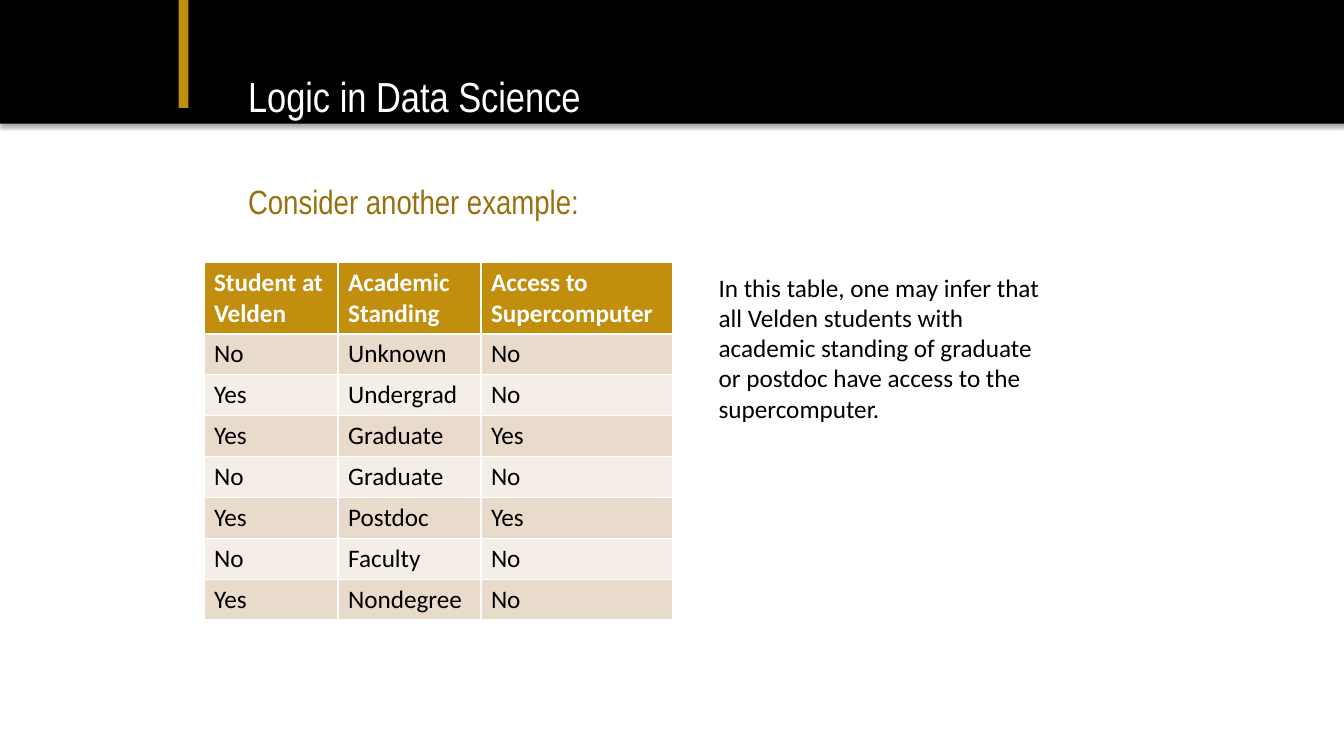
from lxml import etree
from pptx import Presentation
from pptx import util as u
from pptx.dml.color import RGBColor
from pptx.enum import shapes, text
from pptx.oxml.ns import qn

# Content
TITLE = "Logic in Data Science"
LEAD = "Consider another example:"
INFERENCE = ("In this table, one may infer that all Velden students with academic "
             "standing of graduate or postdoc have access to the supercomputer.")
ROWS = [
    ("Student at Velden", "Academic Standing", "Access to Supercomputer"),
    ("No", "Unknown", "No"),
    ("Yes", "Undergrad", "No"),
    ("Yes", "Graduate", "Yes"),
    ("No", "Graduate", "No"),
    ("Yes", "Postdoc", "Yes"),
    ("No", "Faculty", "No"),
    ("Yes", "Nondegree", "No"),
]

# Look and measures (cm)
COLORS = {"black": "000000", "white": "FFFFFF", "gold": "C28E0E",
          "dark gold": "98700D", "odd row": "E9DBCC", "even row": "F4EEE7"}
HEADING_FONT, TEXT_FONT = "Arial Narrow", "Calibri"
BARS = [("black", 0, -0.03, 33.87, 3.15), ("gold", 4.5, 0, 0.25, 2.72)]
COLUMN_WIDTHS = (3.38, 3.6, 4.83)
HEADER_HEIGHT, ROW_HEIGHT = 1.79, 1.03


def color(name):
    return RGBColor.from_string(COLORS[name])


def set_font(paragraph, name, size, color_name, bold=False):
    font = paragraph.font
    font.name, font.size, font.bold = name, u.Pt(size), bold
    font.color.rgb = color(color_name)


def add_shadow(shape):
    shape.shadow.inherit = False
    effects = shape._element.spPr.find(qn("a:effectLst"))
    shadow = etree.SubElement(effects, qn("a:outerShdw"), blurRad=str(u.Pt(3.1)),
                              dist=str(u.Pt(1.8)), dir="5400000", rotWithShape="0")
    shade = etree.SubElement(shadow, qn("a:srgbClr"), val=COLORS["black"])
    etree.SubElement(shade, qn("a:alpha"), val="35000")


def fill_heading(placeholder, words, box, size, color_name, anchor):
    placeholder.left, placeholder.top, placeholder.width, placeholder.height = map(u.Cm, box)
    frame = placeholder.text_frame
    frame.text = words
    frame.word_wrap, frame.auto_size = True, text.MSO_AUTO_SIZE.NONE
    frame.vertical_anchor = anchor
    frame.margin_left = frame.margin_top = frame.margin_right = frame.margin_bottom = 0
    paragraph = frame.paragraphs[0]
    paragraph.alignment = text.PP_ALIGN.LEFT
    set_font(paragraph, HEADING_FONT, size, color_name)
    return paragraph


presentation = Presentation()
presentation.slide_width, presentation.slide_height = u.Cm(33.87), u.Cm(19.05)
slide = presentation.slides.add_slide(presentation.slide_layouts[1])
title, body = slide.placeholders

# Header band and gold marker, behind the title
for fill, *box in BARS:
    bar = slide.shapes.add_shape(shapes.MSO_SHAPE.RECTANGLE, *map(u.Cm, box))
    bar.fill.solid()
    bar.fill.fore_color.rgb = color(fill)
    bar.line.fill.background()
    add_shadow(bar)
    title._element.addprevious(bar._element)

# Title and lead line
fill_heading(title, TITLE, (6.25, 1.68, 22.58, 1.47), 30, "white", text.MSO_ANCHOR.MIDDLE)
lead = fill_heading(body, LEAD, (6.25, 4.55, 22.6, 1.17), 24, "dark gold", text.MSO_ANCHOR.TOP)
lead.space_before = u.Pt(4.8)
lead_properties = lead._p.get_or_add_pPr()
lead_properties.set("marL", "0")
lead_properties.set("indent", "0")
etree.SubElement(lead_properties, qn("a:buNone"))
# buNone has to come before the default run properties
lead_properties.append(lead_properties.find(qn("a:defRPr")))

# Table of students
table_height = HEADER_HEIGHT + ROW_HEIGHT * (len(ROWS) - 1)
table = slide.shapes.add_table(len(ROWS), len(COLUMN_WIDTHS), u.Cm(5.14), u.Cm(6.61),
                               u.Cm(sum(COLUMN_WIDTHS)), u.Cm(table_height)).table
for column, width in zip(table.columns, COLUMN_WIDTHS):
    column.width = u.Cm(width)
for i, values in enumerate(ROWS):
    header = i == 0
    table.rows[i].height = u.Cm(HEADER_HEIGHT if header else ROW_HEIGHT)
    fill = "gold" if header else "odd row" if i % 2 else "even row"
    for j, value in enumerate(values):
        cell = table.cell(i, j)
        cell.text = value
        cell.fill.solid()
        cell.fill.fore_color.rgb = color(fill)
        set_font(cell.text_frame.paragraphs[0], TEXT_FONT, 18,
                 "white" if header else "black", header)

# Inference beside the table
note = slide.shapes.add_textbox(u.Cm(17.86), u.Cm(6.73), u.Cm(8.92), u.Cm(4.11))
note.text_frame.word_wrap = True
note.text_frame.auto_size = text.MSO_AUTO_SIZE.SHAPE_TO_FIT_TEXT
note.text_frame.text = INFERENCE
set_font(note.text_frame.paragraphs[0], TEXT_FONT, 18, "black")

presentation.save("out.pptx")
